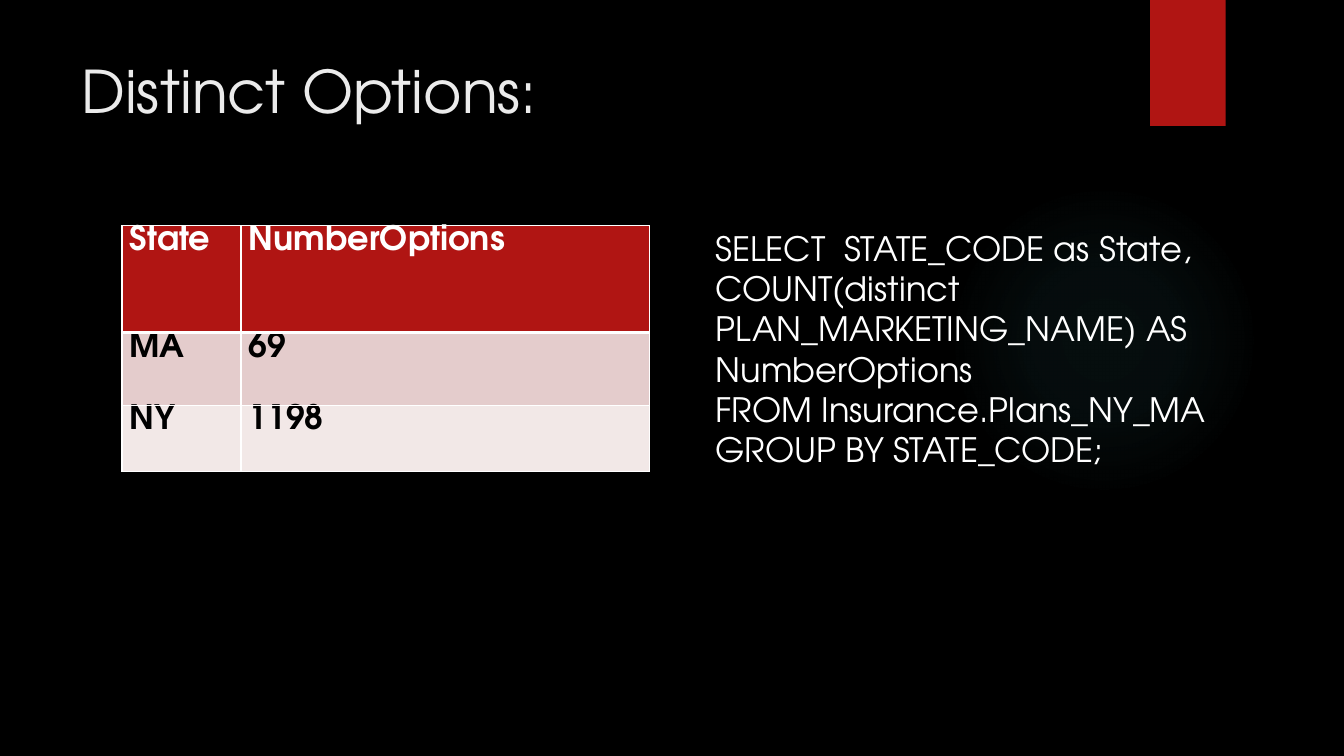
from dataclasses import dataclass

from pptx import Presentation, oxml
from pptx import util as u
from pptx.dml.color import RGBColor
from pptx.enum import shapes, text
from pptx.oxml import ns

BLACK = RGBColor(0x00, 0x00, 0x00)
WHITE = RGBColor(0xFF, 0xFF, 0xFF)
OFF_WHITE = RGBColor(0xEB, 0xEB, 0xEB)
RED = RGBColor(0xB0, 0x15, 0x13)
ROSE = RGBColor(0xE4, 0xCC, 0xCC)
PALE_ROSE = RGBColor(0xF2, 0xE8, 0xE7)
TEAL = RGBColor(0x50, 0xB9, 0xC1)

FONT = "TeX Gyre Adventor"
GLOW_STOPS = ((0, 7), (36, 6), (69, 0))  # position and opacity, percent
COLUMN_WIDTHS = (85, 291.6)
RULE, HEADER_RULE = 1, 3


@dataclass(frozen=True)
class Box:
    left: float
    top: float
    width: float
    height: float

    def lengths(self) -> tuple:
        return tuple(u.Pt(n) for n in (self.left, self.top, self.width, self.height))


@dataclass(frozen=True)
class TextBlock:
    box: Box
    lines: tuple
    size: float
    color: RGBColor


@dataclass(frozen=True)
class TableRow:
    values: tuple
    height: float
    fill: RGBColor
    color: RGBColor
    top_rule: float = RULE
    bottom_rule: float = RULE


GLOW = Box(677.5, 131.8, 221.8, 221.8)
RIBBON = Box(821.5, 0, 54, 90)
TABLE = Box(87.1, 161.3, sum(COLUMN_WIDTHS), 175.6)

TEXT_BLOCKS = (
    TextBlock(Box(51.1, 35.3, 740.2, 67.7), ("Distinct Options:",), 42, OFF_WHITE),
    TextBlock(
        Box(504, 159.1, 411.1, 211),
        (
            "SELECT  STATE_CODE as State, COUNT(distinct PLAN_MARKETING_NAME) AS NumberOptions",
            "FROM Insurance.Plans_NY_MA",
            "GROUP BY STATE_CODE;",
        ),
        24,
        WHITE,
    ),
)

STATE_ROWS = (
    TableRow(("State", "NumberOptions"), 76.3, RED, WHITE, bottom_rule=HEADER_RULE),
    TableRow(("MA", "69"), 51.8, ROSE, BLACK, top_rule=HEADER_RULE),
    TableRow(("NY", "1198"), 47.5, PALE_ROSE, BLACK),
)


def apply_format(target, values: dict) -> None:
    for name, value in values.items():
        setattr(target, name, value)


def write_line(paragraph, line: str, size: float, color: RGBColor, bold: bool = False) -> None:
    run = paragraph.add_run()
    run.text = line
    apply_format(run.font, {"name": FONT, "size": u.Pt(size), "bold": bold})
    run.font.color.rgb = color


def add_text(slide, block: TextBlock) -> None:
    frame = slide.shapes.add_textbox(*block.box.lengths()).text_frame
    apply_format(frame, {"word_wrap": True, "vertical_anchor": text.MSO_ANCHOR.TOP})
    for index, line in enumerate(block.lines):
        paragraph = frame.add_paragraph() if index else frame.paragraphs[0]
        write_line(paragraph, line, block.size, block.color)


def add_plain_shape(slide, kind: shapes.MSO_SHAPE, box: Box):
    shape = slide.shapes.add_shape(kind, *box.lengths())
    shape.shadow.inherit = False
    shape.line.fill.background()
    return shape


def add_glow(slide) -> None:
    glow = add_plain_shape(slide, shapes.MSO_SHAPE.OVAL, GLOW)
    glow.fill.background()
    stops = "".join(
        f'<a:gs pos="{position * 1000}"><a:srgbClr val="{TEAL}">'
        f'<a:alpha val="{opacity * 1000}"/></a:srgbClr></a:gs>'
        for position, opacity in GLOW_STOPS
    )
    gradient = oxml.parse_xml(
        f'<a:gradFill {ns.nsdecls("a")}><a:gsLst>{stops}</a:gsLst><a:path path="circle">'
        '<a:fillToRect l="50000" t="50000" r="50000" b="50000"/></a:path></a:gradFill>'
    )
    properties = glow._element.spPr
    properties.replace(properties.find(ns.qn("a:noFill")), gradient)


def add_ribbon(slide) -> None:
    ribbon = add_plain_shape(slide, shapes.MSO_SHAPE.RECTANGLE, RIBBON)
    ribbon.fill.solid()
    ribbon.fill.fore_color.rgb = RED


def rule_cell(cell, row: TableRow) -> None:
    properties = cell._tc.get_or_add_tcPr()
    widths = {"lnL": RULE, "lnR": RULE, "lnT": row.top_rule, "lnB": row.bottom_rule}
    for index, (side, width) in enumerate(widths.items()):
        border = oxml.parse_xml(
            f'<a:{side} {ns.nsdecls("a")} w="{u.Pt(width)}"><a:solidFill>'
            f'<a:srgbClr val="{WHITE}"/></a:solidFill></a:{side}>'
        )
        properties.insert(index, border)


def add_state_table(slide) -> None:
    table = slide.shapes.add_table(
        len(STATE_ROWS), len(COLUMN_WIDTHS), *TABLE.lengths()
    ).table
    apply_format(table, {"first_row": True, "horz_banding": False})
    for column, width in zip(table.columns, COLUMN_WIDTHS):
        column.width = u.Pt(width)
    margins = {
        "margin_left": u.Pt(5.4),
        "margin_right": u.Pt(5.4),
        "margin_top": u.Pt(0),
        "margin_bottom": u.Pt(0),
    }
    for table_row, row in zip(table.rows, STATE_ROWS):
        table_row.height = u.Pt(row.height)
        for cell, value in zip(table_row.cells, row.values):
            apply_format(cell, margins)
            cell.fill.solid()
            cell.fill.fore_color.rgb = row.fill
            rule_cell(cell, row)
            write_line(cell.text_frame.paragraphs[0], value, 24, row.color, bold=True)


def main() -> None:
    deck = Presentation()
    apply_format(deck, {"slide_width": u.Pt(960), "slide_height": u.Pt(540)})
    slide = deck.slides.add_slide(deck.slide_layouts[6])

    # Backdrop
    slide.background.fill.solid()
    slide.background.fill.fore_color.rgb = BLACK
    add_glow(slide)
    add_ribbon(slide)

    # Title, query and its result
    for block in TEXT_BLOCKS:
        add_text(slide, block)
    add_state_table(slide)

    deck.save("out.pptx")


if __name__ == "__main__":
    main()
